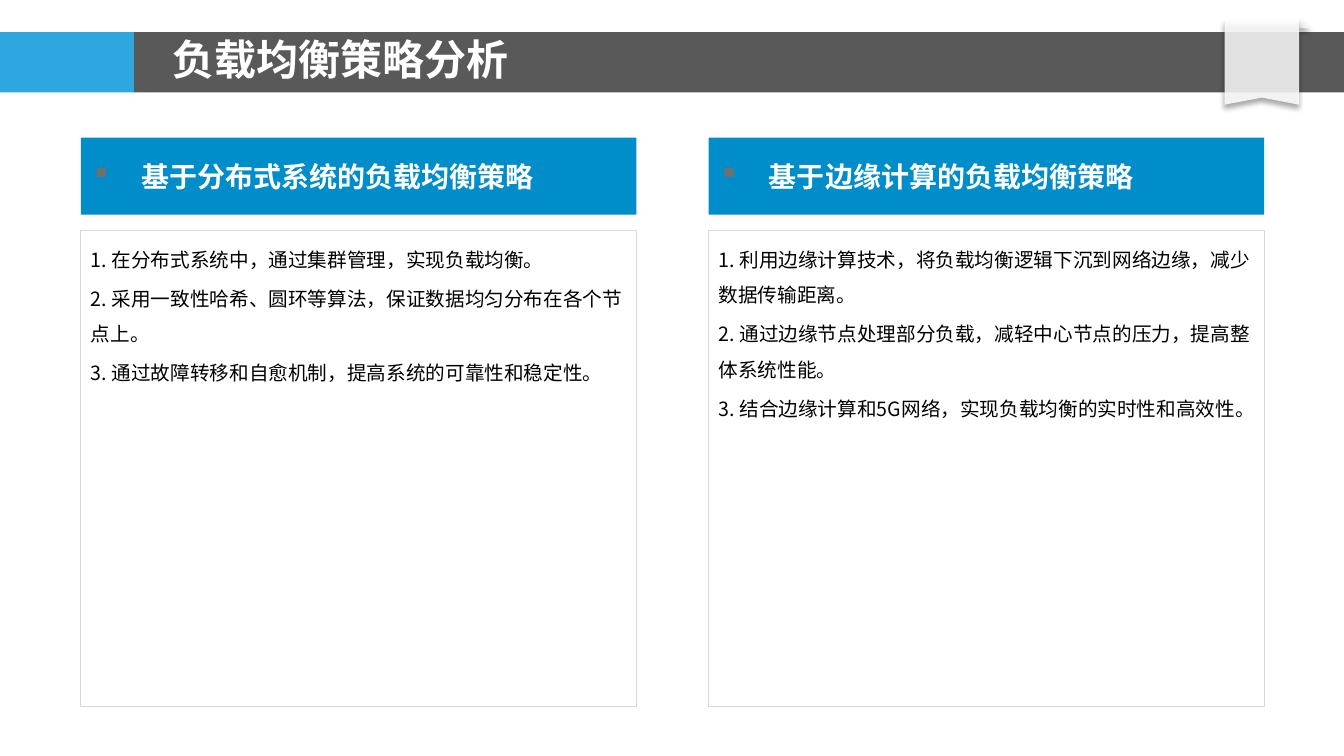
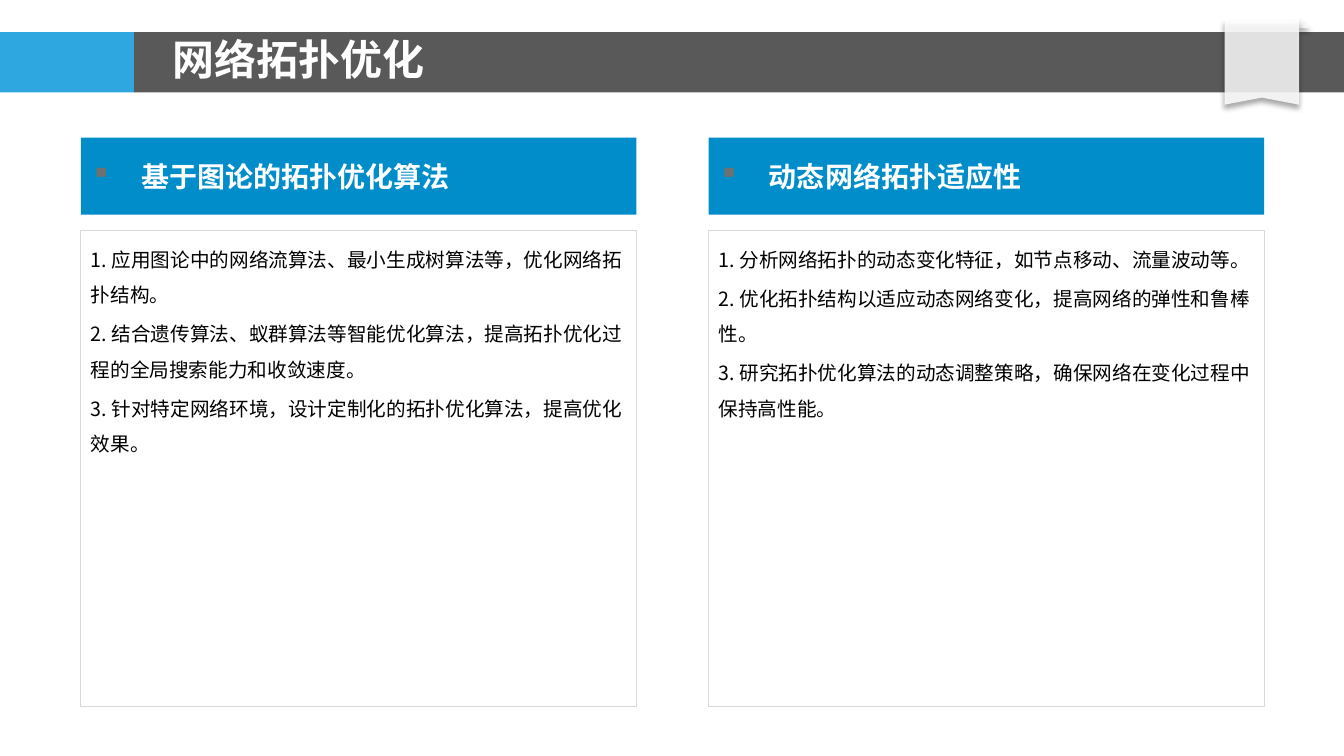
from dataclasses import dataclass

from lxml import etree
from pptx import Presentation
from pptx import util as u
from pptx.dml.color import RGBColor
from pptx.enum import shapes, text
from pptx.oxml.ns import qn

FONT = "Noto Sans CJK SC"
WHITE = RGBColor(0xFF, 0xFF, 0xFF)
BLACK = RGBColor(0x00, 0x00, 0x00)
SKY = RGBColor(0x2E, 0xA7, 0xE0)
CHARCOAL = RGBColor(0x59, 0x59, 0x59)
FOLD_GREY = RGBColor(0xF8, 0xF8, 0xF8)
BLUE = RGBColor(0x00, 0x8D, 0xCA)
BORDER = RGBColor(0xD9, 0xD9, 0xD9)
BULLET = RGBColor(0x6F, 0x71, 0x70)

SLIDE_W, SLIDE_H = u.Cm(33.87), u.Cm(19.05)
BAND_TOP, BAND_H, ACCENT_W = u.Cm(0.81), u.Cm(1.52), u.Cm(3.38)
COLUMN_W = u.Cm(14)
COLUMN_LEFT, COLUMN_STEP = u.Cm(2.04), u.Cm(15.82)
HEADING_TOP, HEADING_H = u.Cm(3.47), u.Cm(1.94)
BODY_TOP, BODY_H = u.Cm(5.82), u.Cm(11.99)


@dataclass(frozen=True)
class Column:
    heading: str
    points: tuple[str, ...]


@dataclass(frozen=True)
class Page:
    title: str
    columns: tuple[Column, ...]


PAGES = (
    Page("负载均衡策略分析", (
        Column("基于分布式系统的负载均衡策略", (
            "1. 在分布式系统中，通过集群管理，实现负载均衡。",
            "2. 采用一致性哈希、圆环等算法，保证数据均匀分布在各个节点上。",
            "3. 通过故障转移和自愈机制，提高系统的可靠性和稳定性。",
        )),
        Column("基于边缘计算的负载均衡策略", (
            "1. 利用边缘计算技术，将负载均衡逻辑下沉到网络边缘，减少数据传输距离。",
            "2. 通过边缘节点处理部分负载，减轻中心节点的压力，提高整体系统性能。",
            "3. 结合边缘计算和5G网络，实现负载均衡的实时性和高效性。",
        )),
    )),
    Page("网络拓扑优化", (
        Column("基于图论的拓扑优化算法", (
            "1. 应用图论中的网络流算法、最小生成树算法等，优化网络拓扑结构。",
            "2. 结合遗传算法、蚁群算法等智能优化算法，提高拓扑优化过程的全局搜索能力和收敛速度。",
            "3. 针对特定网络环境，设计定制化的拓扑优化算法，提高优化效果。",
        )),
        Column("动态网络拓扑适应性", (
            "1. 分析网络拓扑的动态变化特征，如节点移动、流量波动等。",
            "2. 优化拓扑结构以适应动态网络变化，提高网络的弹性和鲁棒性。",
            "3. 研究拓扑优化算法的动态调整策略，确保网络在变化过程中保持高性能。",
        )),
    )),
)


def add_child(parent, tag: str, **attributes: str):
    return etree.SubElement(parent, qn(tag), attributes)


def set_font(paragraph, size: float, color: RGBColor, bold: bool = False) -> None:
    font = paragraph.font
    font.name, font.size, font.bold = FONT, u.Pt(size), bold
    font.color.rgb = color
    # East Asian glyphs need their own typeface entry
    add_child(font._element, "a:ea", typeface=FONT)


def set_bullet(paragraph) -> None:
    properties = paragraph._p.get_or_add_pPr()
    hanging = u.Cm(1.27)
    properties.set("marL", str(hanging))
    properties.set("indent", str(-hanging))
    add_child(add_child(properties, "a:buClr"), "a:srgbClr", val=str(BULLET))
    add_child(properties, "a:buChar", char="▪")


def paint(part, color: RGBColor) -> None:
    part.fill.solid()
    part.fill.fore_color.rgb = color
    part.line.fill.background()
    part.shadow.inherit = False


def make_paper(part) -> None:
    """Give a painted part slight transparency and a soft shadow below."""
    properties = part._element.spPr
    fill_color = properties.find(qn("a:solidFill")).find(qn("a:srgbClr"))
    add_child(fill_color, "a:alpha", val="85000")
    shadow = add_child(properties.find(qn("a:effectLst")), "a:outerShdw",
                       blurRad=str(u.Pt(4)), dist=str(u.Pt(3)),
                       dir="5400000", algn="t", rotWithShape="0")
    shadow_color = add_child(shadow, "a:srgbClr", val=str(BLACK))
    add_child(shadow_color, "a:alpha", val="40000")


def decorate_layout(layout, slide) -> None:
    """Draw the shared header on a slide, then move it to the layout."""
    for placeholder in list(layout.placeholders):
        if placeholder.placeholder_format.type != shapes.PP_PLACEHOLDER.TITLE:
            placeholder._element.getparent().remove(placeholder._element)

    # Title band
    rectangle = shapes.MSO_SHAPE.RECTANGLE
    accent = slide.shapes.add_shape(rectangle, 0, BAND_TOP, ACCENT_W, BAND_H)
    paint(accent, SKY)
    band = slide.shapes.add_shape(
        rectangle, ACCENT_W, BAND_TOP, SLIDE_W - ACCENT_W, BAND_H)
    paint(band, CHARCOAL)

    # Folded ribbon
    left, right, top, bottom = u.Cm(30.86), u.Cm(32.74), u.Cm(0.51), u.Cm(2.64)
    fold = slide.shapes.add_shape(shapes.MSO_SHAPE.RIGHT_TRIANGLE,
                                  right, u.Cm(0.46), u.Cm(0.3), u.Cm(0.25))
    paint(fold, FOLD_GREY)
    outline = slide.shapes.build_freeform(left, bottom)
    notch = ((left + right) // 2, u.Cm(2.46))
    outline.add_line_segments(
        [(left, top), (right, top), (right, bottom), notch], close=True)
    ribbon = outline.convert_to_shape()
    paint(ribbon, WHITE)
    for paper in (fold, ribbon):
        make_paper(paper)

    for position, part in enumerate((accent, band, fold, ribbon), start=2):
        layout.shapes._spTree.insert(position, part._element)


def write_title(slide, wording: str) -> None:
    title = slide.shapes.title
    title.left, title.top = u.Cm(4.11), u.Cm(0.76)
    title.width, title.height = u.Cm(29.74), u.Cm(1.45)
    frame = title.text_frame
    frame.text = wording
    frame.auto_size = text.MSO_AUTO_SIZE.NONE
    frame.vertical_anchor = text.MSO_ANCHOR.MIDDLE
    frame.margin_left = u.Cm(0.24)
    frame.margin_top = frame.margin_right = frame.margin_bottom = 0
    frame.paragraphs[0].alignment = text.PP_ALIGN.LEFT
    set_font(frame.paragraphs[0], 30, WHITE, bold=True)


def add_panel(slide, left: int, top: int, height: int, lines: tuple[str, ...]):
    panel = slide.shapes.add_textbox(left, top, COLUMN_W, height)
    frame = panel.text_frame
    frame.word_wrap = True
    frame.auto_size = text.MSO_AUTO_SIZE.NONE
    frame.text = "\n".join(lines)
    return panel


def add_column(slide, left: int, column: Column) -> None:
    # Heading
    heading = add_panel(slide, left, HEADING_TOP, HEADING_H, (column.heading,))
    paint(heading, BLUE)
    heading.text_frame.vertical_anchor = text.MSO_ANCHOR.MIDDLE
    caption = heading.text_frame.paragraphs[0]
    caption.space_before = u.Pt(4)
    set_bullet(caption)
    set_font(caption, 20, WHITE, bold=True)

    # Numbered points
    body = add_panel(slide, left, BODY_TOP, BODY_H, column.points)
    body.line.color.rgb = BORDER
    body.line.width = u.Pt(0.75)
    for point in body.text_frame.paragraphs:
        point.line_spacing = 1.5
        point.space_before = u.Pt(2.8)
        set_font(point, 14, BLACK)


def main() -> None:
    deck = Presentation()
    deck.slide_width, deck.slide_height = SLIDE_W, SLIDE_H
    layout = deck.slide_layouts[5]
    for number, page in enumerate(PAGES):
        slide = deck.slides.add_slide(layout)
        if number == 0:
            decorate_layout(layout, slide)
        write_title(slide, page.title)
        for index, column in enumerate(page.columns):
            add_column(slide, COLUMN_LEFT + index * COLUMN_STEP, column)
    deck.save("out.pptx")


if __name__ == "__main__":
    main()
